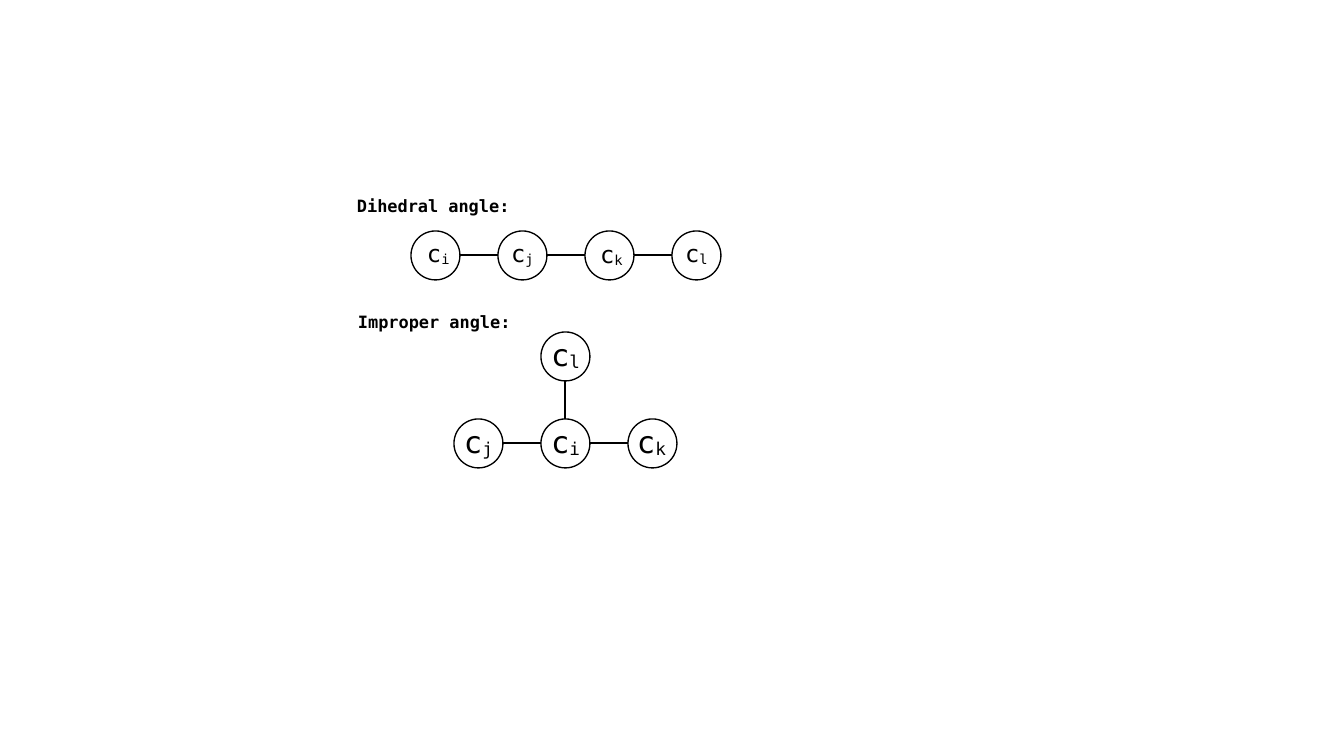
from pptx import Presentation
from pptx.dml.color import RGBColor
from pptx.enum.shapes import MSO_CONNECTOR as Conn, MSO_SHAPE as Shape
from pptx.enum.text import MSO_AUTO_SIZE as AutoSize
from pptx.oxml.ns import qn
from pptx.util import Emu, Pt
from lxml.etree import SubElement

PX = 914400 / 122
THEME = {
    "ink": RGBColor(0, 0, 0),
    "font": "DejaVu Sans Mono",
    "heading": 10,
    "chain_label": 14,
    "star_label": 18,
    "ring": 0.79,
    "bond": 1,
}
DIAMETER, PITCH = 49, 87
RADIUS = DIAMETER // 2


def px(*lengths):
    return [Emu(round(n * PX)) for n in lengths]


def add_text(box, words, size, wrap=False, bold=False):
    """Add a text box with one run per word; runs after the first are subscripts."""
    tf = slide.shapes.add_textbox(*px(*box)).text_frame
    tf.word_wrap = wrap
    tf.auto_size = AutoSize.SHAPE_TO_FIT_TEXT
    style = {"name": THEME["font"], "size": Pt(size), "bold": bold}
    for i, word in enumerate(words):
        r = tf.paragraphs[0].add_run()
        r.text = word
        for key, value in style.items():
            setattr(r.font, key, value)
        r.font.color.rgb = THEME["ink"]
        if i:
            r.font._element.set("baseline", "-8000")


prs = Presentation()
prs.slide_width, prs.slide_height = px(1344, 756)
slide = prs.slides.add_slide(prs.slide_layouts[6])

# Atoms: subscript, column, row, label shift from the circle's corner
diagrams = [
    {
        "heading": ("Dihedral angle:", 345, 190),
        "origin": (411, 231),
        "label": (47, 44, THEME["chain_label"]),
        "atoms": [("i", 0, 0, 4, 2), ("j", 1, 0, 1, 2),
                  ("k", 2, 0, 3, 3), ("l", 3, 0, 1, 2)],
        "bonds": ["ij", "jk", "kl"],
    },
    {
        "heading": ("Improper angle:", 346, 306),
        "origin": (454, 332),
        "label": (53, 53, THEME["star_label"]),
        "atoms": [("l", 1, 0, -2, -2), ("j", 0, 1, -2, -2),
                  ("i", 1, 1, -2, -2), ("k", 2, 1, -3, -2)],
        "bonds": ["ji", "ik", "li"],
    },
]

for diagram in diagrams:
    title, left, top = diagram["heading"]
    add_text((left, top, 183, 46), [title], THEME["heading"], wrap=True, bold=True)

    x0, y0 = diagram["origin"]
    width, height, size = diagram["label"]
    centres = {}
    for name, col, row, dx, dy in diagram["atoms"]:
        x, y = x0 + col * PITCH, y0 + row * PITCH
        centres[name] = (x + RADIUS, y + RADIUS)
        sp = slide.shapes.add_shape(Shape.OVAL, *px(x, y, DIAMETER, DIAMETER))
        sp.shadow.inherit = False
        sp.fill.background()
        sp.line.color.rgb = THEME["ink"]
        sp.line.width = Pt(THEME["ring"])
        add_text((x + dx, y + dy, width, height), ["c", name], size)

    for start, end in diagram["bonds"]:
        (x1, y1), (x2, y2) = centres[start], centres[end]
        ux, uy = (x2 - x1) // PITCH, (y2 - y1) // PITCH
        line = slide.shapes.add_connector(Conn.STRAIGHT, *px(
            x1 + ux * (RADIUS + 1), y1 + uy * (RADIUS + 1),
            x2 - ux * RADIUS, y2 - uy * RADIUS))
        line.line.color.rgb = THEME["ink"]
        line.line.width = Pt(THEME["bond"])
        SubElement(line._element.spPr, qn("a:effectLst"))

prs.save("out.pptx")
